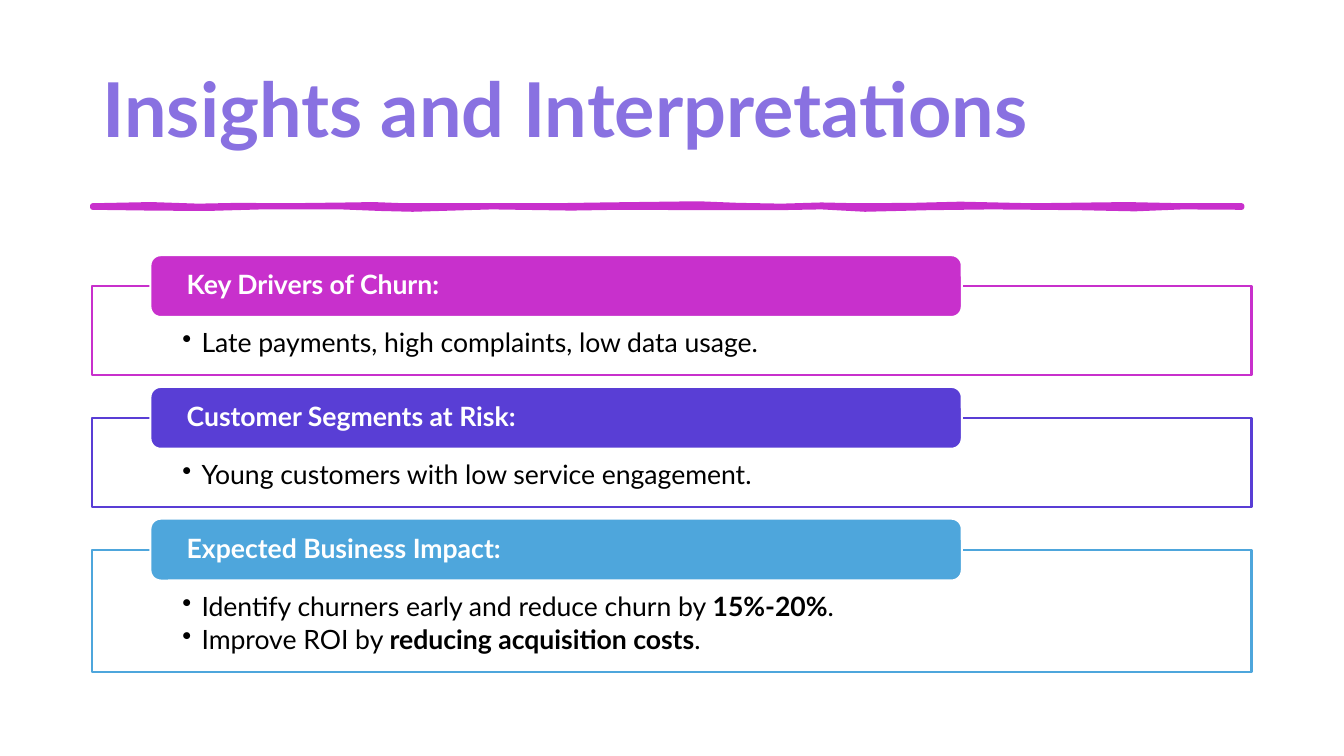
import pptx
import pptx.dml.color
import pptx.enum.shapes
import pptx.enum.text
import pptx.oxml.ns
import pptx.util
from lxml import etree

Cm = pptx.util.Cm
Pt = pptx.util.Pt
ANCHOR = pptx.enum.text.MSO_ANCHOR
SHAPE = pptx.enum.shapes.MSO_SHAPE

COLORS = {
    "title": "8971E1",
    "magenta": "C830CC",
    "violet": "593ED5",
    "blue": "4EA6DC",
    "white": "FFFFFF",
    "black": "000000",
}
FONT = "Lato"
LEFT, WIDTH = 2.33, 29.21
FIRST_TOP, GAP = 7.21, 1.07
TAG_RISE = 0.78

SECTIONS = [
    ("Key Drivers of Churn:", "magenta", 2.25,
     [[("Late payments, high complaints, low data usage.", False)]]),
    ("Customer Segments at Risk:", "violet", 2.25,
     [[("Young customers with low service engagement.", False)]]),
    ("Expected Business Impact:", "blue", 3.08,
     [[("Identify churners early and reduce churn by ", False), ("15%-20%", True), (".", False)],
      [("Improve ROI by ", False), ("reducing acquisition costs", True), (".", False)]]),
]

STROKE_TOP = [
    (2.33, 5.18), (3.8, 5.15), (5, 5.19), (6, 5.17), (7.2, 5.18), (8.8, 5.16),
    (9.4, 5.15), (10.2, 5.18), (13.9, 5.18), (15.2, 5.16), (17.6, 5.13),
    (18.6, 5.17), (19.7, 5.19), (20.7, 5.16), (21.6, 5.18), (23, 5.17),
    (24.2, 5.14), (26, 5.18), (28.4, 5.15), (29.8, 5.18), (31.3, 5.18),
]
STROKE_BOTTOM = [
    (31.3, 5.23), (29.8, 5.22), (28.6, 5.27), (27.2, 5.24), (25, 5.22),
    (23.4, 5.24), (21.8, 5.28), (20.7, 5.22), (19.6, 5.24), (18, 5.24),
    (15.6, 5.23), (14.4, 5.25), (12.4, 5.22), (10.4, 5.28), (9.6, 5.26),
    (8.6, 5.22), (6.6, 5.22), (5.2, 5.26), (3.8, 5.25), (2.33, 5.23),
]


def rgb(name):
    """Return the named colour."""
    return pptx.dml.color.RGBColor.from_string(COLORS[name])


def add_text(p, text, size=19, color="black", bold=False):
    """Append a formatted run to a paragraph."""
    r = p.add_run()
    r.text = text
    r.font.name = FONT
    r.font.size = Pt(size)
    r.font.bold = bold
    r.font.color.rgb = rgb(color)
    p.alignment = pptx.enum.text.PP_ALIGN.LEFT
    p.line_spacing = 0.9


def style_shape(sp, fill, line, weight):
    """Set fill and outline and drop the shadow."""
    sp.shadow.inherit = False
    sp.fill.solid()
    sp.fill.fore_color.rgb = rgb(fill)
    sp.line.color.rgb = rgb(line)
    sp.line.width = Pt(weight)


def set_frame(sp, anchor, side, top, bottom):
    """Set the anchor and insets of a shape's text and return its frame."""
    tf = sp.text_frame
    tf.word_wrap = True
    tf.auto_size = pptx.enum.text.MSO_AUTO_SIZE.NONE
    tf.vertical_anchor = anchor
    tf.margin_left = tf.margin_right = Cm(side)
    tf.margin_top, tf.margin_bottom = Cm(top), Cm(bottom)
    return tf


def add_bullet(p):
    """Give a paragraph a hanging bullet."""
    pPr = p._p.get_or_add_pPr()
    pPr.set("marL", str(Cm(0.48)))
    pPr.set("indent", str(-Cm(0.48)))
    etree.SubElement(pPr, pptx.oxml.ns.qn("a:buChar")).set("char", "•")


def add_title(s, text):
    """Place and fill the title placeholder."""
    sp = s.shapes.title
    sp.left, sp.top, sp.width, sp.height = Cm(LEFT), Cm(1.01), Cm(WIDTH), Cm(3.68)
    tf = set_frame(sp, ANCHOR.MIDDLE, 0.25, 0.13, 0.13)
    add_text(tf.paragraphs[0], text, size=54, color="title", bold=True)


def add_brush_stroke(s):
    """Draw the uneven rule below the title."""
    points = [(Cm(x), Cm(y)) for x, y in STROKE_TOP + STROKE_BOTTOM]
    fb = s.shapes.build_freeform(*points[0])
    fb.add_line_segments(points[1:])
    sp = fb.convert_to_shape()
    style_shape(sp, "magenta", "magenta", 3.25)
    etree.SubElement(sp.line._get_or_add_ln(), pptx.oxml.ns.qn("a:round"))


def add_box(s, top, height, color, items):
    """Draw an outlined box with its bullet list."""
    sp = s.shapes.add_shape(SHAPE.RECTANGLE, Cm(LEFT), Cm(top), Cm(WIDTH), Cm(height))
    style_shape(sp, "white", color, 1.5)
    tf = set_frame(sp, ANCHOR.TOP, 2.27, 1.1, 0.38)
    for i, runs in enumerate(items):
        p = tf.add_paragraph() if i else tf.paragraphs[0]
        for text, bold in runs:
            add_text(p, text, bold=bold)
        p.space_after = Pt(3)
        add_bullet(p)


def add_tag(s, top, color, text):
    """Draw the rounded heading over a box."""
    sp = s.shapes.add_shape(SHAPE.ROUNDED_RECTANGLE, Cm(3.79), Cm(top), Cm(20.45), Cm(1.56))
    style_shape(sp, color, "white", 1.5)
    tf = set_frame(sp, ANCHOR.MIDDLE, 0.84, 0.08, 0.08)
    add_text(tf.paragraphs[0], text, color="white", bold=True)


def main():
    """Build and save the slide."""
    prs = pptx.Presentation()
    prs.slide_width, prs.slide_height = Cm(33.87), Cm(19.05)
    s = prs.slides.add_slide(prs.slide_layouts[5])
    add_title(s, "Insights and Interpretations")
    add_brush_stroke(s)
    top = FIRST_TOP
    for heading, color, height, items in SECTIONS:
        add_box(s, top, height, color, items)
        add_tag(s, top - TAG_RISE, color, heading)
        top += height + GAP
    prs.save("out.pptx")


if __name__ == "__main__":
    main()
